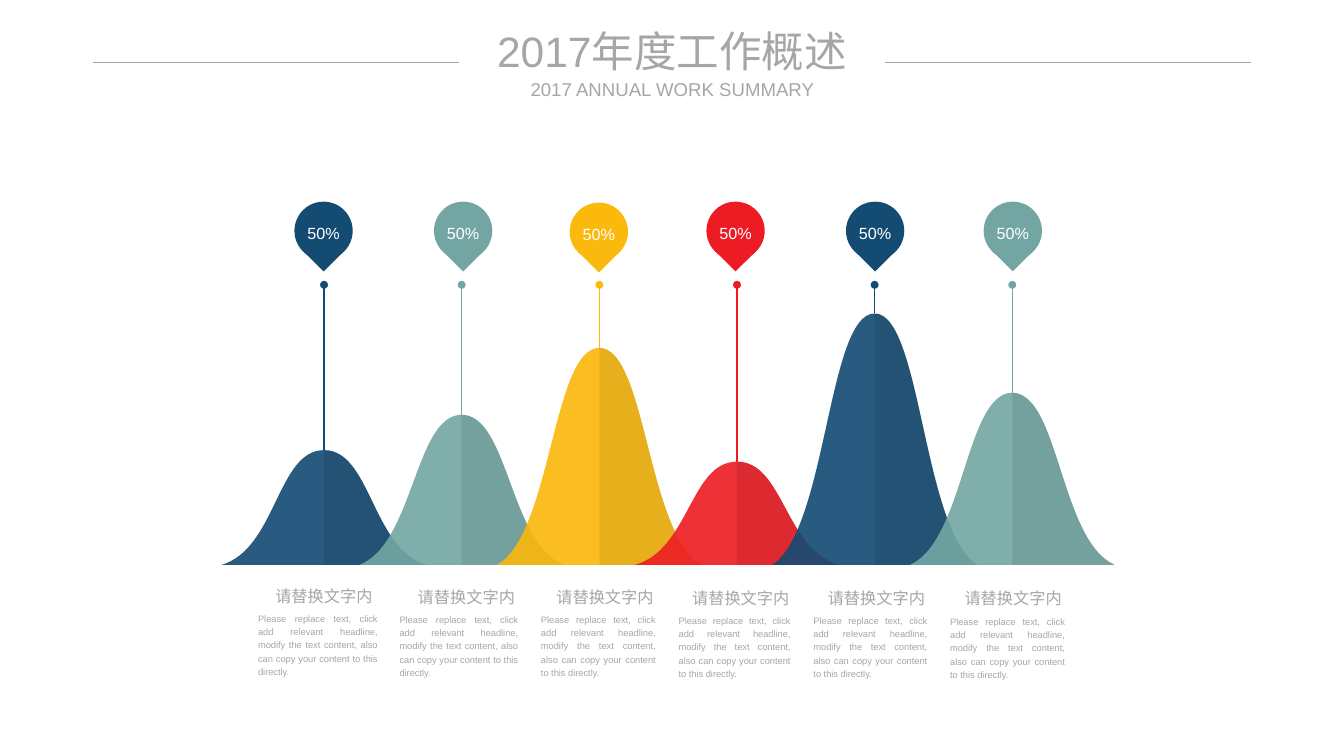
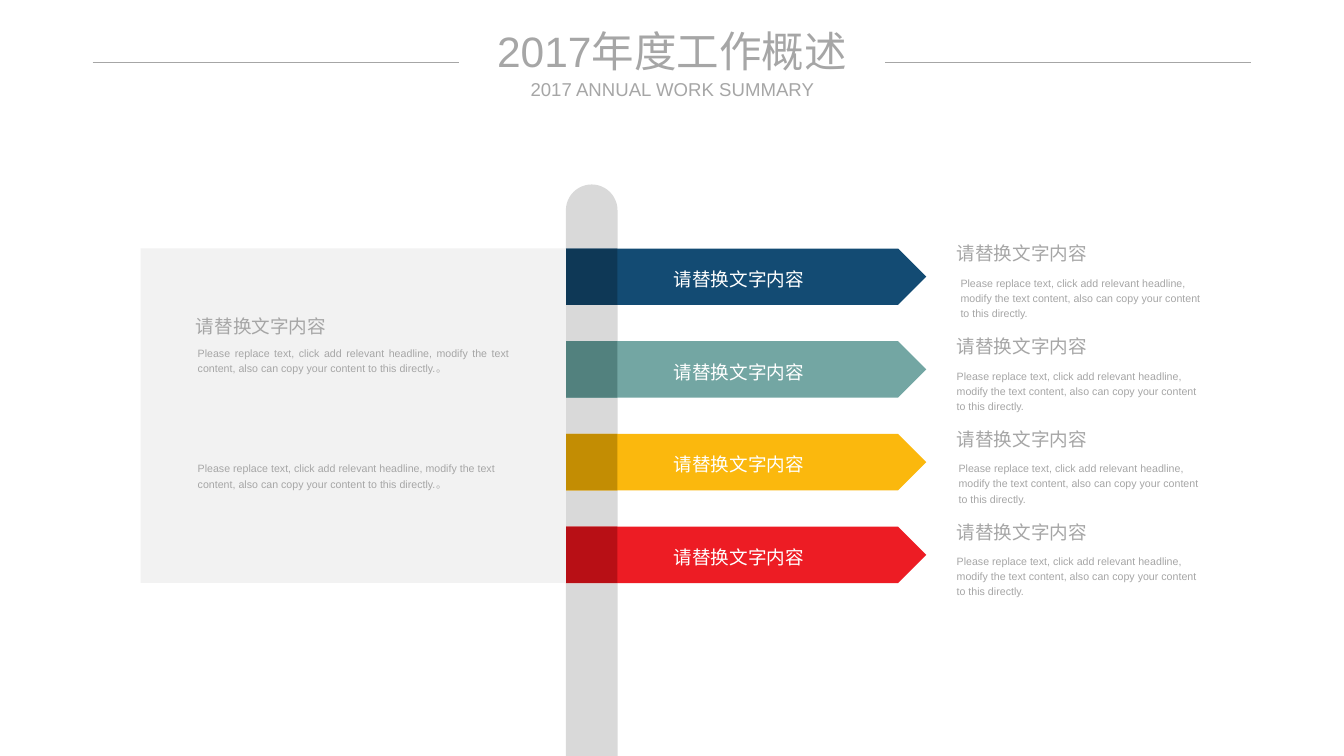
from dataclasses import dataclass

from lxml import etree
from pptx import Presentation
from pptx.dml.color import RGBColor
from pptx.enum.shapes import MSO_CONNECTOR, MSO_SHAPE
from pptx.enum.text import MSO_ANCHOR, MSO_AUTO_SIZE, PP_ALIGN
from pptx.oxml.ns import qn
from pptx.util import Inches, Pt

LEFT, CENTER, JUSTIFY = PP_ALIGN.LEFT, PP_ALIGN.CENTER, PP_ALIGN.JUSTIFY
TOP, MIDDLE = MSO_ANCHOR.TOP, MSO_ANCHOR.MIDDLE
RECT, OVAL = MSO_SHAPE.RECTANGLE, MSO_SHAPE.OVAL
BANNER, RAIL = MSO_SHAPE.PENTAGON, MSO_SHAPE.ROUND_2_SAME_RECTANGLE
STRAIGHT = MSO_CONNECTOR.STRAIGHT
FIT_SHAPE = MSO_AUTO_SIZE.SHAPE_TO_FIT_TEXT


@dataclass(frozen=True)
class Theme:
    font: str = "Arial"
    gray: str = "A6A6A6"
    white: str = "FFFFFF"
    rail: str = "D9D9D9"
    panel: str = "F2F2F2"
    # Each accent: main colour, shade over a peak, dark end of a banner
    navy: tuple = ("134B73", "0A2539", "0E3856")
    teal: tuple = ("73A6A3", "375654", "52817E")
    gold: tuple = ("FBB80D", "825E02", "C38D03")
    red: tuple = ("ED1C24", "7B0A0E", "B80F15")
    title: float = 32
    heading: float = 14
    label: float = 12.2
    body: float = 8
    small: float = 7
    spacing: float = 1.2


THEME = Theme()

# Content
TITLE = "2017年度工作概述"
SUBTITLE = "2017 ANNUAL WORK SUMMARY"
HEADING = "请替换文字内容"
SHORT_HEADING = "请替换文字内"
BODY = ("Please replace text, click add relevant headline, modify the text "
        "content, also can copy your content to this directly.")
PANEL_BODY = BODY + "。"

# accent, value, peak top, pin (left, top), heading (left, top), body (left, width)
PEAKS = [
    (THEME.navy, "50%", 4.71, (3.08, 2.11), (2.88, 6.09), (2.7, 1.25)),
    (THEME.teal, "50%", 4.34, (4.54, 2.11), (4.37, 6.1), (4.18, 1.24)),
    (THEME.gold, "50%", 3.64, (5.96, 2.12), (5.82, 6.1), (5.66, 1.2)),
    (THEME.red, "50%", 4.83, (7.39, 2.11), (7.24, 6.11), (7.1, 1.17)),
    (THEME.navy, "50%", 3.28, (8.85, 2.11), (8.66, 6.11), (8.51, 1.19)),
    (THEME.teal, "50%", 4.11, (10.29, 2.11), (10.09, 6.12), (9.94, 1.2)),
]
# accent, left edge of the body text
BANNERS = [(THEME.navy, 9.95), (THEME.teal, 9.91),
           (THEME.gold, 9.93), (THEME.red, 9.91)]


# Drawing helpers
def rgb(color):
    return RGBColor.from_string(color)


def paint(shape, color, opacity=None):
    shape.shadow.inherit = False
    shape.fill.solid()
    shape.fill.fore_color.rgb = rgb(color)
    shape.line.fill.background()
    if opacity is not None:
        tone = shape.fill._xPr.find(".//" + qn("a:srgbClr"))
        etree.SubElement(tone, qn("a:alpha")).set("val", str(opacity * 1000))
    return shape


def write(shape, text, size, color, align=LEFT, anchor=TOP, wrap=True,
          inset=True, spacing=THEME.spacing):
    frame = shape.text_frame
    frame.word_wrap = wrap
    frame.vertical_anchor = anchor
    if not inset:
        frame.margin_left = frame.margin_right = 0
        frame.margin_top = frame.margin_bottom = 0
    para = frame.paragraphs[0]
    para.text = text
    para.alignment = align
    para.line_spacing = spacing
    para.font.name = THEME.font
    para.font.size = Pt(size)
    para.font.color.rgb = rgb(color)


def add_block(page, kind, left, top, width, height, color):
    block = page.shapes.add_shape(kind, Inches(left), Inches(top),
                                  Inches(width), Inches(height))
    return paint(block, color)


def add_text(page, left, top, width, height, text, size, **options):
    box = page.shapes.add_textbox(Inches(left), Inches(top),
                                  Inches(width), Inches(height))
    write(box, text, size, THEME.gray, **options)
    box.text_frame.auto_size = FIT_SHAPE


def add_line(page, start, end, color, width, dot=False):
    line = page.shapes.add_connector(STRAIGHT, *map(Inches, start + end))
    line.line.color.rgb = rgb(color)
    line.line.width = Pt(width)
    if dot:
        outline = line.line._get_or_add_ln()
        etree.SubElement(outline, qn("a:headEnd")).set("type", "oval")
    etree.SubElement(line._element.spPr, qn("a:effectLst"))


def add_outline(page, points, color, opacity=None, curves=None):
    """Closed outline; curves maps a segment number to its two Bezier handles."""
    points = [(Inches(x), Inches(y)) for x, y in points]
    builder = page.shapes.build_freeform(*points[0])
    builder.add_line_segments(points[1:], close=True)
    shape = paint(builder.convert_to_shape(), color, opacity)
    segments = list(shape._element.iter(qn("a:lnTo")))
    for number, handles in (curves or {}).items():
        segment = segments[number]
        segment.tag = qn("a:cubicBezTo")
        for position, (x, y) in enumerate(handles):
            handle = etree.Element(qn("a:pt"))
            handle.set("x", str(Inches(x) - shape.left))
            handle.set("y", str(Inches(y) - shape.top))
            segment.insert(position, handle)


def add_header(page):
    plain = dict(align=CENTER, anchor=MIDDLE, inset=False, spacing=1.0)
    add_text(page, 4.87, 0.26, 4.32, 0.54, TITLE, THEME.title, **plain)
    add_text(page, 5.5, 0.81, 3.07, 0.24, SUBTITLE, THEME.heading, **plain)
    for left in (0.97, 9.26):
        add_line(page, (left, 0.65), (left + 3.83, 0.65), THEME.gray, 0.5)


# Slide 1: peaks with pins
BASE, HALF_PEAK = 5.91, 1.07
FIRST_PEAK, PEAK_PITCH = 3.39, 1.44
PIN, DOT_Y = 0.61, 2.98


def add_peak(page, center, top, accent):
    summit, middle = (center, top), (center, BASE)
    left_foot, right_foot = (center - HALF_PEAK, BASE), (center + HALF_PEAK, BASE)
    shoulder = BASE - 0.14 * (BASE - top)
    falling = [(center - 0.49, top), (center - 0.5, shoulder)]
    rising = [(center + 0.5, shoulder), (center + 0.49, top)]
    add_outline(page, [summit, left_foot, middle, right_foot, summit],
                accent[0], 91, {0: falling, 3: rising})
    add_outline(page, [right_foot, summit, middle], accent[1], 15, {0: rising})


def add_pin(page, left, top, color, value):
    head = add_block(page, OVAL, left, top, PIN, PIN, color)
    write(head, value, THEME.label, THEME.white, align=CENTER, anchor=MIDDLE,
          inset=False)
    middle, neck = left + PIN / 2, top + 0.52
    add_outline(page, [(middle + 0.21, neck), (middle, neck + 0.21),
                       (middle - 0.21, neck)], color)


def build_peaks(page):
    centers = [FIRST_PEAK + PEAK_PITCH * i for i in range(len(PEAKS))]
    for center, (accent, _, top, *_) in zip(centers, PEAKS):
        add_peak(page, center, top, accent)
    for center, (accent, value, top, pin, heading, body) in zip(centers, PEAKS):
        add_pin(page, *pin, accent[0], value)
        add_line(page, (center, DOT_Y), (center, top), accent[0], 1, dot=True)
        add_text(page, *heading, 1.02, 0.25, SHORT_HEADING, THEME.label,
                 align=JUSTIFY, wrap=False, inset=False)
        body_left, body_width = body
        add_text(page, body_left, heading[1] + 0.3, body_width, 0.69, BODY,
                 THEME.small, align=JUSTIFY, inset=False)
    add_header(page)


# Slide 2: signpost with banners
RAIL_LEFT, RAIL_TOP, RAIL_WIDTH = 5.92, 1.93, 0.54
FIRST_ROW, ROW_PITCH, ROW_HEIGHT = 2.6, 0.97, 0.59


def build_signpost(page):
    rail = add_block(page, RAIL, RAIL_LEFT, RAIL_TOP, RAIL_WIDTH, 5.98, THEME.rail)
    rail.adjustments[0] = 0.5
    for row, (accent, body_left) in enumerate(BANNERS):
        top = FIRST_ROW + ROW_PITCH * row
        banner = add_block(page, BANNER, RAIL_LEFT, top, 3.77, ROW_HEIGHT, accent[0])
        write(banner, HEADING, THEME.heading, THEME.white, align=CENTER, anchor=MIDDLE)
        add_block(page, RECT, RAIL_LEFT, top, RAIL_WIDTH, ROW_HEIGHT, accent[2])
        add_text(page, 9.91, top - 0.16, 1.58, 0.36, HEADING, THEME.heading, wrap=False)
        add_text(page, body_left, top + 0.22, 2.73, 0.57, BODY, THEME.body)

    # Side panel
    add_block(page, RECT, 1.47, FIRST_ROW, 4.45, 3.5, THEME.panel)
    add_text(page, 1.95, 3.2, 1.68, 0.36, HEADING, THEME.heading)
    for top, align in ((3.55, JUSTIFY), (4.76, LEFT)):
        add_text(page, 1.97, top, 3.46, 0.41, PANEL_BODY, THEME.body, align=align)
    add_header(page)


def main():
    deck = Presentation()
    deck.slide_width, deck.slide_height = Inches(14.06), Inches(7.91)
    for build in (build_peaks, build_signpost):
        build(deck.slides.add_slide(deck.slide_layouts[6]))
    deck.save("out.pptx")


if __name__ == "__main__":
    main()
